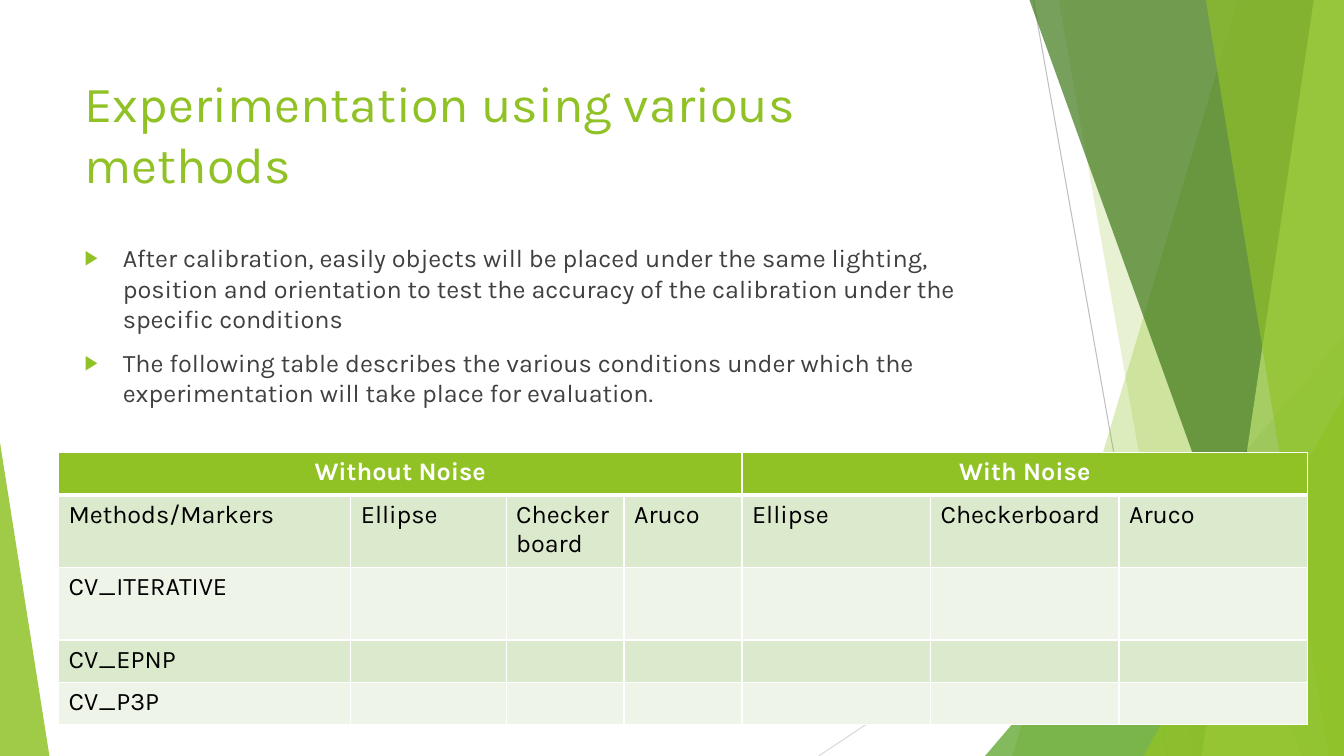
"""Build the slide on experimentation using various methods."""
from dataclasses import dataclass
from typing import Union

from lxml import etree
from pptx import Presentation
from pptx.dml import color
from pptx.enum import shapes, text
from pptx.oxml import ns
from pptx import util as u

FONT = "Karla"
COLORS = {
    "green": "90C226", "leaf": "54A021", "forest": "3F7819", "lime": "C0E474",
    "ink": "404040", "black": "000000", "white": "FFFFFF",
    "band": "DBE9CD", "pale": "EEF4E8", "gray": "BFBFBF", "silver": "D9D9D9",
}
WIDTH, HEIGHT = 13.33, 7.5


@dataclass(frozen=True)
class Ray:
    """A thin straight line."""
    start: tuple[float, float]
    end: tuple[float, float]
    tone: str


@dataclass(frozen=True)
class Facet:
    """A full-height panel reaching the right edge of the slide."""
    top: float
    bottom: float
    tone: str
    opacity: int


@dataclass(frozen=True)
class Wedge:
    """A right triangle standing on the bottom edge of the slide."""
    left: float
    top: float
    width: float
    apex: float
    tone: str
    opacity: int


Decoration = Union[Ray, Facet, Wedge]

DECORATIONS: list[Decoration] = [
    Ray((10.25, 0), (11.58, HEIGHT), "gray"),
    Ray((WIDTH, 4.03), (8.12, HEIGHT), "silver"),
    Facet(12.28, 10.04, "green", 30),
    Facet(10.5, 11.83, "green", 20),
    Wedge(9.77, 3.33, 3.56, 1, "leaf", 72),
    Facet(10.21, 12.91, "forest", 70),
    Facet(13.03, 11.92, "lime", 70),
    Facet(11.96, 13.18, "green", 65),
    Wedge(11.34, 3.93, 1.99, 1, "green", 80),
    Wedge(0, 4.39, 0.49, 0, "green", 85),
]
TITLE = "Experimentation using various methods"
BULLETS = [
    "After calibration, easily objects will be placed under the same lighting, position "
    "and orientation to test the accuracy of the calibration under the specific conditions",
    "The following table describes the various conditions under which the "
    "experimentation will take place for evaluation.",
]
MARKERS = ["Ellipse", "Checkerboard", "Aruco"]
METHODS = ["CV_ITERATIVE", "CV_EPNP", "CV_P3P"]
GROUPS = {"Without Noise": (0, 3), "With Noise": (4, 6)}
COLUMN_WIDTHS = [2.9, 1.54, 1.17, 1.17, 1.87, 1.87, 1.87]
ROW_HEIGHTS = [0.42, 0.72, 0.72, 0.42, 0.42]


def rgb(tone: str) -> color.RGBColor:
    """Look up a named colour."""
    return color.RGBColor.from_string(COLORS[tone])


def add_span(para, words: str, size: int, tone: str, bold: bool = False) -> None:
    """Append one formatted run to a paragraph."""
    span = para.add_run()
    span.text = words
    span.font.name, span.font.size, span.font.bold = FONT, u.Pt(size), bold
    span.font.color.rgb = rgb(tone)


def draw_ray(slide, ray: Ray) -> None:
    """Draw a thin line without shadow."""
    line = slide.shapes.add_connector(
        shapes.MSO_CONNECTOR.STRAIGHT, *map(u.Inches, ray.start + ray.end))
    line.line.color.rgb = rgb(ray.tone)
    line.line.width = u.Pt(0.75)
    etree.SubElement(line._element.spPr, ns.qn("a:effectLst"))


def draw_panel(slide, panel: Union[Facet, Wedge]) -> None:
    """Draw a translucent facet or wedge."""
    if isinstance(panel, Facet):
        corners = [(WIDTH, 0), (WIDTH, HEIGHT), (panel.bottom, HEIGHT)]
        outline = slide.shapes.build_freeform(u.Inches(panel.top), 0)
        outline.add_line_segments([(u.Inches(x), u.Inches(y)) for x, y in corners])
        shape = outline.convert_to_shape()
    else:
        place = (panel.left, panel.top, panel.width, HEIGHT - panel.top)
        shape = slide.shapes.add_shape(
            shapes.MSO_SHAPE.ISOSCELES_TRIANGLE, *map(u.Inches, place))
        shape.adjustments[0] = panel.apex
    shape.shadow.inherit = False
    shape.line.fill.background()
    shape.fill.solid()
    shape.fill.fore_color.rgb = rgb(panel.tone)
    tint = shape._element.spPr.find(f"{ns.qn('a:solidFill')}/{ns.qn('a:srgbClr')}")
    etree.SubElement(tint, ns.qn("a:alpha"), val=str(panel.opacity * 1000))


def write_title(slide) -> None:
    """Place and format the title placeholder."""
    title = slide.shapes.title
    title.left, title.top, title.width, title.height = map(u.Inches, (0.74, 0.67, 9.4, 1.44))
    frame = title.text_frame
    frame.word_wrap, frame.vertical_anchor = True, text.MSO_ANCHOR.TOP
    frame.auto_size = text.MSO_AUTO_SIZE.NONE
    para = frame.paragraphs[0]
    para.alignment = text.PP_ALIGN.LEFT
    para.line_spacing = 1.0
    add_span(para, TITLE, 36, "green")


def write_bullets(slide) -> None:
    """Write the bulleted introduction."""
    box = slide.shapes.add_textbox(*map(u.Inches, (0.74, 2.36, 9.4, 2)))
    frame = box.text_frame
    frame.word_wrap = True
    for index, words in enumerate(BULLETS):
        para = frame.add_paragraph() if index else frame.paragraphs[0]
        para.space_before = u.Pt(10)
        add_span(para, words, 18, "ink")
        props = para._p.get_or_add_pPr()
        indent = u.Inches(0.38)
        props.set("marL", str(indent))
        props.set("indent", str(-indent))
        tint = etree.SubElement(props, ns.qn("a:buClr"))
        etree.SubElement(tint, ns.qn("a:srgbClr"), val=COLORS["green"])
        etree.SubElement(props, ns.qn("a:buSzPct"), val="80000")
        etree.SubElement(props, ns.qn("a:buFont"), typeface="Arial")
        etree.SubElement(props, ns.qn("a:buChar"), char="▶")


def style_cell(cell, row: int) -> None:
    """Fill a cell by its row and give it white borders."""
    cell.fill.solid()
    cell.fill.fore_color.rgb = rgb("green" if row == 0 else "band" if row % 2 else "pale")
    weights = {"L": 1, "R": 1, "T": 3 if row == 1 else 1, "B": 1 if row else 3}
    props = cell._tc.get_or_add_tcPr()
    for index, (side, weight) in enumerate(weights.items()):
        edge = etree.Element(ns.qn(f"a:ln{side}"), w=str(u.Pt(weight)))
        paint = etree.SubElement(edge, ns.qn("a:solidFill"))
        etree.SubElement(paint, ns.qn("a:srgbClr"), val=COLORS["white"])
        props.insert(index, edge)


def draw_table(slide) -> None:
    """Draw the grid of methods against markers."""
    place = (0.58, 4.49, sum(COLUMN_WIDTHS), sum(ROW_HEIGHTS))
    table = slide.shapes.add_table(
        len(ROW_HEIGHTS), len(COLUMN_WIDTHS), *map(u.Inches, place)).table
    for column, width in zip(table.columns, COLUMN_WIDTHS):
        column.width = u.Inches(width)
    for row, height in zip(table.rows, ROW_HEIGHTS):
        row.height = u.Inches(height)
    for row in range(len(ROW_HEIGHTS)):
        for column in range(len(COLUMN_WIDTHS)):
            style_cell(table.cell(row, column), row)
    for label, (first, last) in GROUPS.items():
        head = table.cell(0, first)
        head.merge(table.cell(0, last))
        para = head.text_frame.paragraphs[0]
        para.alignment = text.PP_ALIGN.CENTER
        add_span(para, label, 18, "white", bold=True)
    labels = {(1, column): label
              for column, label in enumerate(["Methods/Markers"] + MARKERS * 2)}
    labels |= {(row, 0): method for row, method in enumerate(METHODS, 2)}
    for (row, column), label in labels.items():
        add_span(table.cell(row, column).text_frame.paragraphs[0], label, 18, "black")


def main() -> None:
    """Assemble and save the deck."""
    deck = Presentation()
    deck.slide_width, deck.slide_height = u.Inches(WIDTH), u.Inches(HEIGHT)
    page = deck.slides.add_slide(deck.slide_layouts.get_by_name("Title Only"))
    for item in DECORATIONS:
        if isinstance(item, Ray):
            draw_ray(page, item)
        else:
            draw_panel(page, item)
    write_title(page)
    write_bullets(page)
    draw_table(page)
    deck.save("out.pptx")


main()
